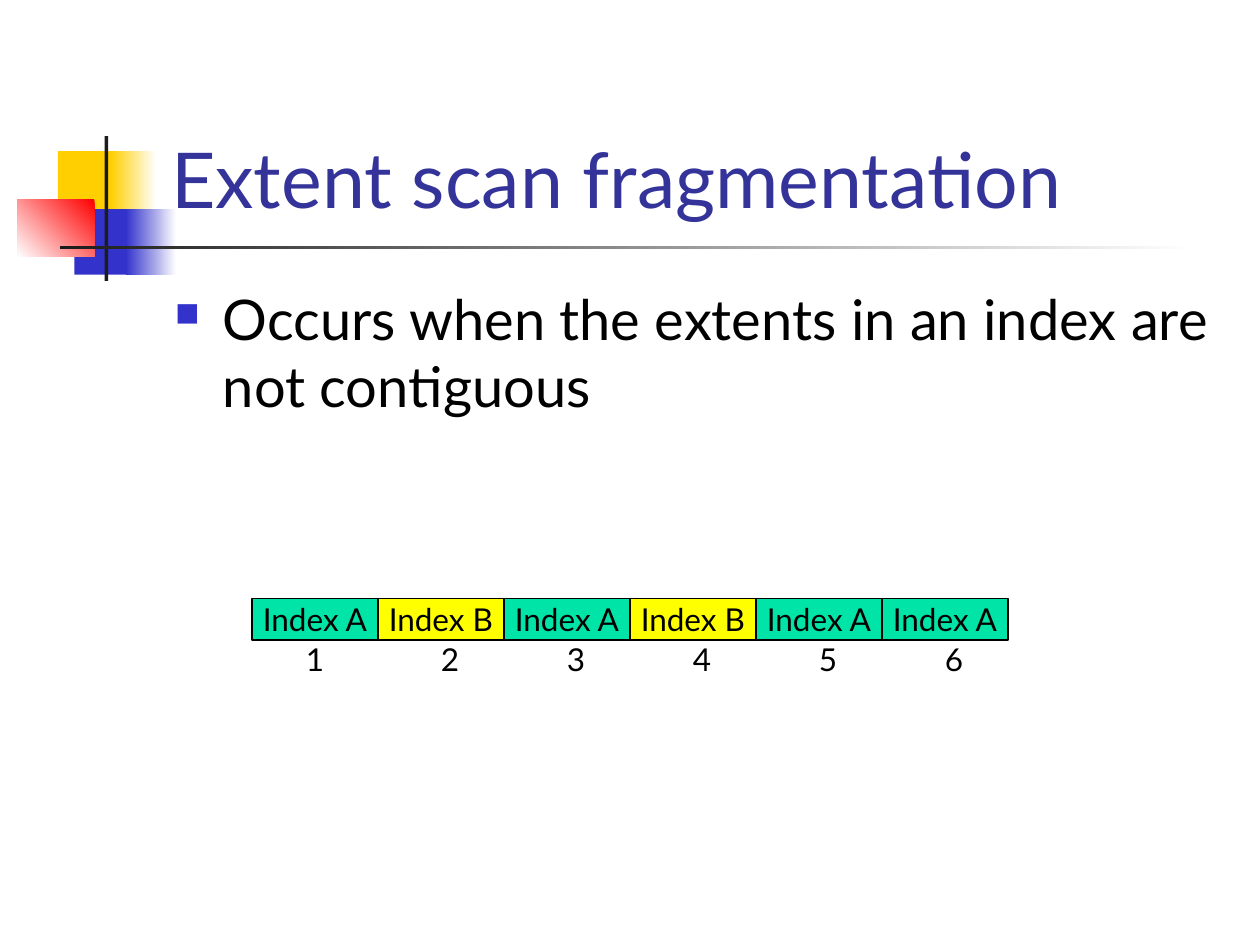
from lxml import etree
from pptx import Presentation
from pptx.dml.color import RGBColor
from pptx.enum.shapes import MSO_SHAPE
from pptx.enum.text import MSO_ANCHOR, PP_ALIGN
from pptx.oxml.ns import qn
from pptx.util import Inches, Pt

RECT = MSO_SHAPE.RECTANGLE
TOP, MIDDLE, BOTTOM = MSO_ANCHOR.TOP, MSO_ANCHOR.MIDDLE, MSO_ANCHOR.BOTTOM
CENTER = PP_ALIGN.CENTER

WHITE = RGBColor(0xFF, 0xFF, 0xFF)
BLACK = RGBColor(0, 0, 0)
GOLD = RGBColor(0xFF, 0xCF, 0x01)
BLUE = RGBColor(0x33, 0x33, 0xCC)
RED = RGBColor(0xFF, 0, 0)
DARK = RGBColor(0x1C, 0x1C, 0x1C)
NAVY = RGBColor(0x33, 0x33, 0x99)
GREEN = RGBColor(0, 0xE4, 0xA8)
YELLOW = RGBColor(0xFF, 0xFF, 0)

# Content
TITLE = "Extent scan fragmentation"
POINT = "Occurs when the extents in an index are not contiguous"
EXTENTS = ["A", "B", "A", "B", "A", "A"]
FILLS = {"A": GREEN, "B": YELLOW}

# Ornament: box, colours (two make a gradient), counterclockwise angle
DECOR = [
    ((0.46, 1.2, 0.48, 0.52), [GOLD], 0),
    ((0.88, 1.2, 0.36, 0.52), [WHITE, GOLD], 180),
    ((0.59, 1.66, 0.46, 0.52), [BLUE], 0),
    ((1, 1.66, 0.4, 0.52), [WHITE, BLUE], 180),
    ((0.14, 1.58, 0.61, 0.46), [RED, WHITE], 225),
    ((0.83, 1.08, 0.03, 1.15), [DARK], 0),
    ((0.48, 1.95, 9, 0.03), [WHITE, DARK], 180),
]

# Row of extents
LEFT, ROW, WIDE, HIGH = 2, 4.75, 1, 0.33
LABEL = 5.03

prs = Presentation()
prs.slide_width, prs.slide_height = Inches(10), Inches(7.5)
slide = prs.slides.add_slide(prs.slide_layouts[6])
shapes = slide.shapes


def add_rect(box, colors, angle=0):
    rect = shapes.add_shape(RECT, *map(Inches, box))
    rect.shadow.inherit = False
    rect.line.fill.background()
    if len(colors) == 1:
        rect.fill.solid()
        rect.fill.fore_color.rgb = colors[0]
    else:
        rect.fill.gradient()
        rect.fill.gradient_angle = angle
        for stop, color in zip(rect.fill.gradient_stops, colors):
            stop.color.rgb = color
    return rect


def set_text(shape, text, size, color=BLACK, anchor=TOP, wrap=True):
    frame = shape.text_frame
    frame.word_wrap = wrap
    frame.vertical_anchor = anchor
    para = frame.paragraphs[0]
    run = para.add_run()
    run.text = text
    for key, value in {"name": "Lato", "size": Pt(size)}.items():
        setattr(run.font, key, value)
    run.font.color.rgb = color
    return para


def add_text(box, *args, **style):
    return set_text(shapes.add_textbox(*map(Inches, box)), *args, **style)


def add_bullet(para, char, color, percent, indent):
    props = para._p.get_or_add_pPr()
    props.set("marL", str(Inches(indent)))
    props.set("indent", str(-Inches(indent)))
    tint = etree.SubElement(props, qn("a:buClr"))
    etree.SubElement(tint, qn("a:srgbClr"), val=str(color))
    etree.SubElement(props, qn("a:buSzPct"), val=str(percent * 1000))
    etree.SubElement(props, qn("a:buChar"), char=char)


# Ornament beside the title
for box, colors, angle in DECOR:
    add_rect(box, colors, angle)

# Title and bullet
add_text((1.26, 0.23, 8.52, 1.6), TITLE, 44, color=NAVY, anchor=BOTTOM)
point = add_text((1.29, 2.21, 8.5, 4.5), POINT, 32)
add_bullet(point, "■", BLUE, 60, 0.38)

# Extents
for i, index in enumerate(EXTENTS):
    cell = add_rect((LEFT + i * WIDE, ROW, WIDE, HIGH), [FILLS[index]])
    cell.line.color.rgb = BLACK
    cell.line.width = Pt(0.75)
    para = set_text(cell, f"Index {index}", 18, anchor=MIDDLE, wrap=False)
    para.alignment = CENTER

# Extent numbers; the first sits a little further left
for i in range(len(EXTENTS)):
    shift, width = (0.4, 0.34) if i else (0.33, 0.5)
    add_text((LEFT + i * WIDE + shift, LABEL, width, 0.4), str(i + 1), 18,
             wrap=i == 0)

prs.save("out.pptx")
